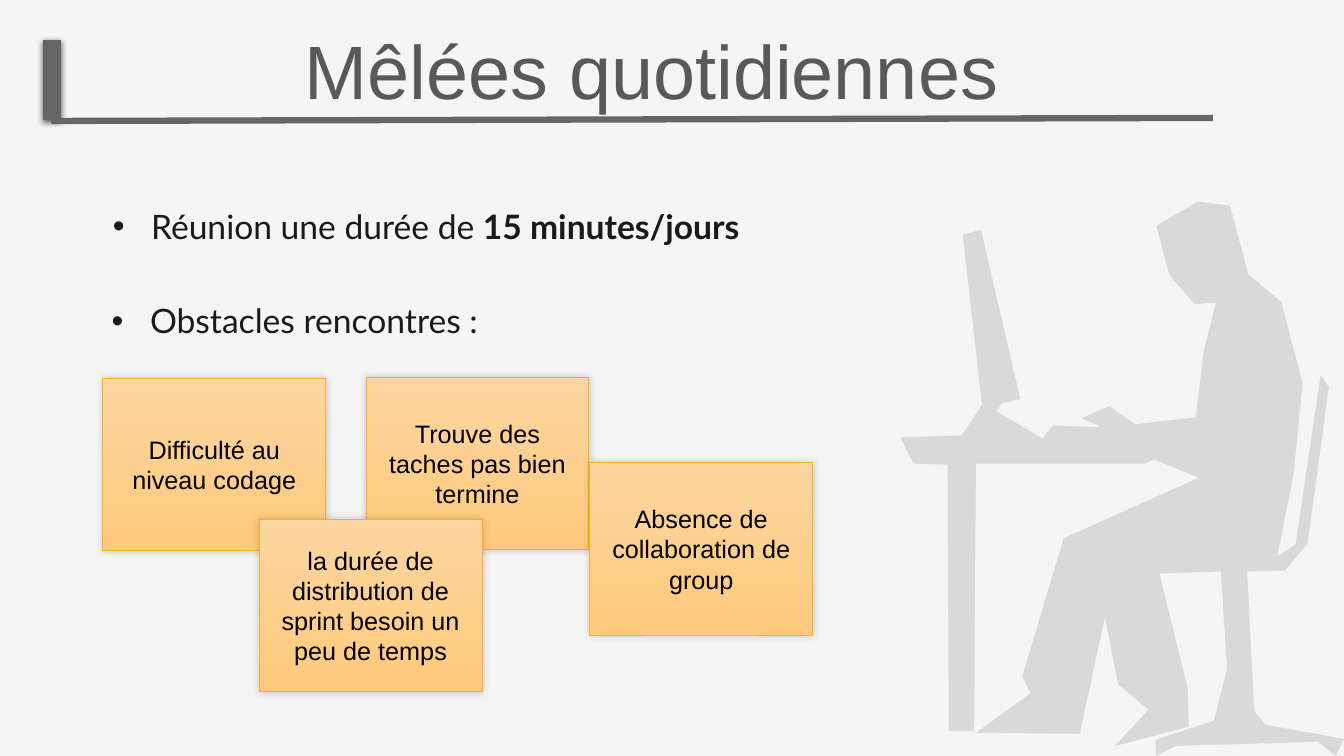
from dataclasses import dataclass

from pptx import Presentation
from pptx.dml.color import RGBColor
from pptx.enum import shapes, text
from pptx.oxml import ns, parse_xml
from pptx.util import Inches, Pt

BACKGROUND, SILHOUETTE = "F5F5F5", "D9D9D9"
RULE, TITLE, BODY = "666666", "595959", "1A1A1A"
NOTE_TOP, NOTE_BOTTOM, NOTE_EDGE = "FCD6A0", "FFCA7D", "F5B317"
NOTE_WIDTH, NOTE_HEIGHT = 2.21, 1.71

# Outline of the person at the desk, in tenths of an inch
PERSON_AT_DESK = [
    # Desk edge, screen and hand
    (89.3, 43.4), (95.4, 43.2), (97.4, 40.2), (95.5, 23.3), (97.3, 22.8), (101.2, 39.6),
    (99.4, 40), (98.8, 40.8), (103.4, 43.5), (104.5, 42.2), (109.3, 42.4), (107.3, 41.5),
    (110, 40.3), (112.6, 42.1), (118.6, 41.4),
    # Chest, head and back
    (119.4, 34.8), (120.6, 30), (118.5, 30.2), (116, 27.3), (114.7, 22.4), (118.8, 20),
    (122, 20.4), (123.8, 27.2), (127.1, 30), (129.2, 38), (128.3, 47.1), (126.7, 55.2),
    # Chair back and foot
    (128.5, 54), (131, 37.2), (131.8, 38.4), (129.7, 53.9), (127.5, 56.6), (123.7, 56.7),
    (124.4, 70.5), (125.5, 71.9), (133.3, 73.3), (132.5, 75), (130.7, 73.6), (116.6, 74),
    (114.7, 75), (114.6, 73.4), (120.4, 71.5), (121.7, 66.4), (121.1, 56.7), (115, 56.9),
    # Legs and shoes
    (117.8, 68.3), (117.9, 72.1), (110.6, 74), (113.9, 70.4), (110.9, 67.9), (109.6, 61.2),
    (107.1, 72.8), (96.8, 72.7), (102.2, 68.8), (101.4, 67.1), (105.5, 53.4), (118.9, 47.4),
    # Underside and leg of the desk
    (114.5, 45.6), (113.5, 46), (96.8, 46), (96.6, 72.5), (94.1, 72.5), (94, 46.1), (90.6, 46),
]


@dataclass
class Bullet:
    left: float
    top: float
    height: float
    plain: str
    bold: str = ""


@dataclass
class Note:
    left: float
    top: float
    label: str


BULLETS = [
    Bullet(1.02, 1.99, 0.81, "Réunion une durée de ", "15 minutes/jours"),
    Bullet(1.01, 2.93, 0.5, "Obstacles rencontres :"),
]
NOTES = [
    Note(1.02, 3.75, "Difficulté au niveau codage"),
    Note(3.63, 3.74, "Trouve des taches pas bien termine"),
    Note(2.57, 5.15, "la durée de distribution de sprint besoin un peu de temps"),
    Note(5.85, 4.59, "Absence de collaboration de group"),
]


def color(hex_code: str) -> RGBColor:
    return RGBColor.from_string(hex_code)


def set_font(r, name: str, size: float, hex_code: str, bold: bool = False) -> None:
    r.font.name, r.font.size, r.font.bold = name, Pt(size), bold
    r.font.color.rgb = color(hex_code)


def set_line(line, hex_code: str, width: float) -> None:
    line.color.rgb, line.width = color(hex_code), Pt(width)


def add_shadow(sp, alpha: int, blur: float, distance: float, angle: int) -> None:
    sp.shadow.inherit = False
    effects = sp._element.spPr.find(ns.qn("a:effectLst"))
    effects.append(parse_xml(
        f'<a:outerShdw {ns.nsdecls("a")} blurRad="{Pt(blur)}" dist="{Pt(distance)}" '
        f'dir="{angle * 60000}" algn="ctr" rotWithShape="0"><a:srgbClr val="000000">'
        f'<a:alpha val="{alpha * 1000}"/></a:srgbClr></a:outerShdw>'))


def add_rectangle(s, left: float, top: float, width: float, height: float):
    return s.shapes.add_shape(shapes.MSO_SHAPE.RECTANGLE, Inches(left), Inches(top),
                              Inches(width), Inches(height))


def add_person(s) -> None:
    outline = [(Inches(x / 10), Inches(y / 10)) for x, y in PERSON_AT_DESK]
    builder = s.shapes.build_freeform(*outline[0])
    builder.add_line_segments(outline[1:], close=True)
    sp = builder.convert_to_shape()
    sp.fill.solid()
    sp.fill.fore_color.rgb = color(SILHOUETTE)
    sp.line.fill.background()
    sp.shadow.inherit = False


def add_title(s, title: str) -> None:
    bar = add_rectangle(s, 0.43, 0.4, 0.17, 0.79)
    bar.fill.solid()
    bar.fill.fore_color.rgb = color(RULE)
    set_line(bar.line, RULE, 0.75)
    add_shadow(bar, 63, 4.5, 1.5, 90)

    rule = s.shapes.add_connector(shapes.MSO_CONNECTOR.STRAIGHT, Inches(0.51), Inches(1.2),
                                  Inches(12.03), Inches(1.17))
    set_line(rule.line, RULE, 4.5)
    rule._element.spPr.append(parse_xml(f'<a:effectLst {ns.nsdecls("a")}/>'))

    sp = s.shapes.title
    sp.left, sp.top, sp.width, sp.height = map(Inches, (2.89, 0.19, 7.14, 1.01))
    tf = sp.text_frame
    tf.text = title
    tf.word_wrap = False
    tf.auto_size = text.MSO_AUTO_SIZE.NONE
    tf.vertical_anchor = text.MSO_ANCHOR.TOP
    tf.paragraphs[0].alignment = text.PP_ALIGN.CENTER
    set_font(tf.paragraphs[0].runs[0], "Arial", 54, TITLE)


def add_bullet(s, bullet: Bullet) -> None:
    sp = s.shapes.add_textbox(Inches(bullet.left), Inches(bullet.top), Inches(6.79),
                              Inches(bullet.height))
    sp.text_frame.word_wrap = True
    p = sp.text_frame.paragraphs[0]
    for words, bold in ((bullet.plain, False), (bullet.bold, True)):
        if words:
            r = p.add_run()
            r.text = words
            set_font(r, "Lato", 24, BODY, bold)
    pPr = p._p.get_or_add_pPr()
    pPr.set("marL", str(Inches(0.38)))
    pPr.set("indent", str(-Inches(0.38)))
    pPr.append(parse_xml(f'<a:buFont {ns.nsdecls("a")} typeface="Arial"/>'))
    pPr.append(parse_xml(f'<a:buChar {ns.nsdecls("a")} char="•"/>'))


def add_note(s, note: Note) -> None:
    sp = add_rectangle(s, note.left, note.top, NOTE_WIDTH, NOTE_HEIGHT)
    sp.fill.gradient()
    sp.fill.gradient_angle = 270
    for stop, hex_code in zip(sp.fill.gradient_stops, (NOTE_TOP, NOTE_BOTTOM)):
        stop.color.rgb = color(hex_code)
    set_line(sp.line, NOTE_EDGE, 0.5)
    add_shadow(sp, 20, 6, 0, 225)
    tf = sp.text_frame
    tf.text = note.label
    tf.word_wrap = True
    tf.vertical_anchor = text.MSO_ANCHOR.MIDDLE
    tf.paragraphs[0].alignment = text.PP_ALIGN.CENTER
    set_font(tf.paragraphs[0].runs[0], "Arial", 18, "000000")


def main() -> None:
    prs = Presentation()
    prs.slide_width, prs.slide_height = Inches(13.33), Inches(7.5)
    s = prs.slides.add_slide(prs.slide_layouts[5])
    s.background.fill.solid()
    s.background.fill.fore_color.rgb = color(BACKGROUND)
    add_person(s)
    add_title(s, "Mêlées quotidiennes")
    for bullet in BULLETS:
        add_bullet(s, bullet)
    for note in NOTES:
        add_note(s, note)
    prs.save("out.pptx")


if __name__ == "__main__":
    main()
